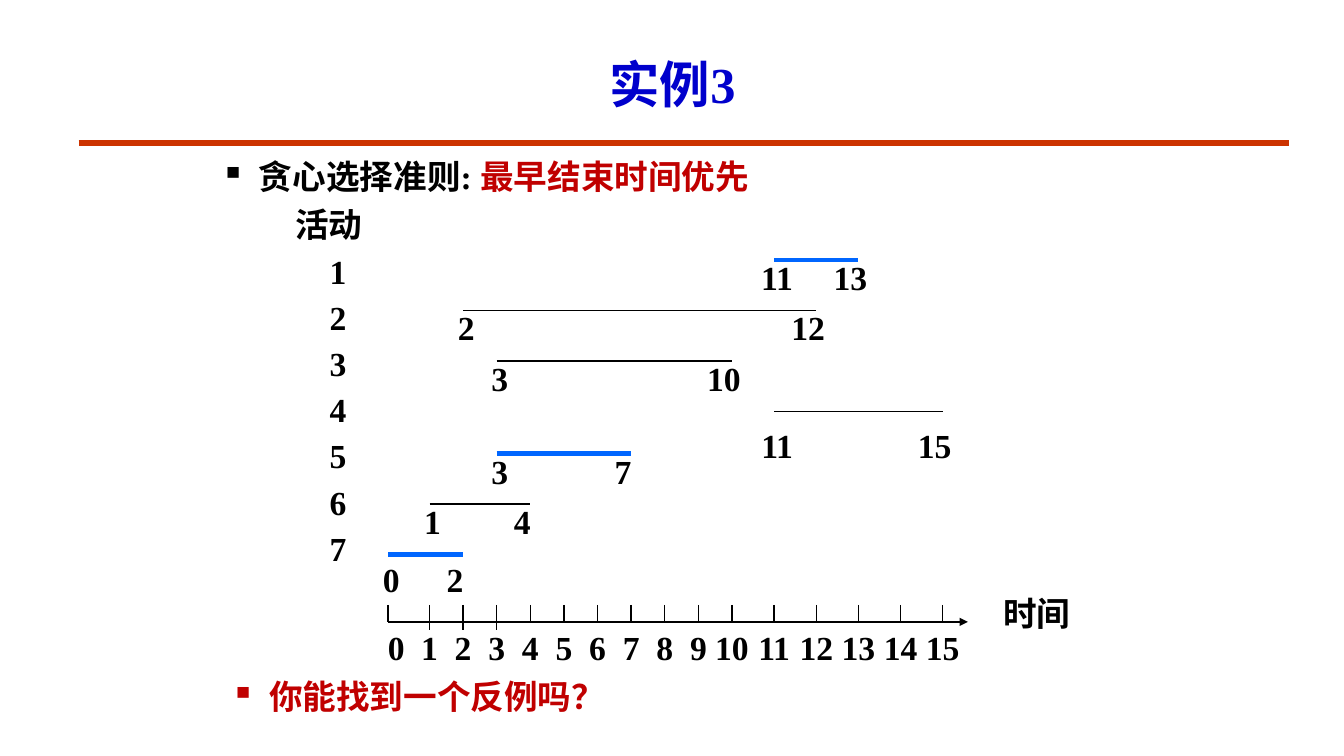
from lxml import etree
from pptx import Presentation
from pptx.dml.color import RGBColor
from pptx.enum.shapes import MSO_CONNECTOR
from pptx.enum.text import MSO_ANCHOR, PP_ALIGN
from pptx.oxml.ns import qn
from pptx.util import Inches, Pt

STRAIGHT = MSO_CONNECTOR.STRAIGHT
TOP, MIDDLE = MSO_ANCHOR.TOP, MSO_ANCHOR.MIDDLE
LEFT, CENTER = PP_ALIGN.LEFT, PP_ALIGN.CENTER

BLACK, RED, BLUE = "000000", "C00000", "0066FF"
AXIS_Y = 6.17
LAST_TIME = 15
LABEL_MARGIN = 0.3

# start, end, line height, label box top, chosen by the greedy rule
ACTIVITIES = [
    (11, 13, 2.58, 2.5, True),
    (2, 12, 3.08, 3, False),
    (3, 10, 3.58, 3.5, False),
    (11, 15, 4.08, 4.17, False),
    (3, 7, 4.5, 4.42, True),
    (1, 4, 5, 4.92, False),
    (0, 2, 5.5, 5.5, True),
]


def color(hex_string):
    return RGBColor.from_string(hex_string)


def time_x(time):
    """Horizontal place of a time; two-digit times stand further apart."""
    if time == 0:
        return 3.85
    if time <= 10:
        return 4.26 + (time - 1) / 3
    return 7.26 + (time - 10) * 0.418


class SlideBuilder:
    font = "Times New Roman"
    size = 24

    def __init__(self, page):
        self.page = page

    def line(self, x1, y1, x2, y2, line_color=BLACK, width=1, arrow=False):
        connector = self.page.shapes.add_connector(
            STRAIGHT, Inches(x1), Inches(y1), Inches(x2), Inches(y2))
        connector.line.color.rgb = color(line_color)
        connector.line.width = Pt(width)
        if arrow:
            outline = connector.line._get_or_add_ln()
            etree.SubElement(outline, qn("a:tailEnd"), type="triangle")
        properties = connector._element.spPr
        etree.SubElement(properties, qn("a:effectLst"))

    def box(self, left, top, width, height, anchor=TOP):
        frame = self.page.shapes.add_textbox(
            Inches(left), Inches(top), Inches(width), Inches(height)).text_frame
        frame.word_wrap = True
        frame.vertical_anchor = anchor
        return frame

    def style(self, para, text_color=BLACK, size=size, align=LEFT):
        para.alignment = align
        para.font.name = self.font
        para.font.size = Pt(size)
        para.font.bold = True
        para.font.color.rgb = color(text_color)

    def text(self, text, left, top, width, height, anchor=TOP, **style):
        para = self.box(left, top, width, height, anchor).paragraphs[0]
        para.text = text
        self.style(para, **style)

    def bullet(self, spans, left, top):
        """Bulleted line made of (text, colour) spans."""
        para = self.box(left, top, 8.98, 0.54).paragraphs[0]
        properties = para._p.get_or_add_pPr()
        properties.set("marL", str(Inches(0.38)))
        properties.set("indent", str(-Inches(0.38)))
        etree.SubElement(properties, qn("a:buChar"), char="▪")
        self.style(para, spans[0][1])
        for text, text_color in spans:
            span = para.add_run()
            span.text = text
            span.font.color.rgb = color(text_color)

    def numbers(self, places, top):
        """One row of (number, centre) pairs on centred tab stops."""
        left = places[0][1] - LABEL_MARGIN
        width = places[-1][1] - left + LABEL_MARGIN
        frame = self.box(left, top, width, 0.5)
        frame.margin_left = frame.margin_right = 0
        para = frame.paragraphs[0]
        stops = etree.SubElement(para._p.get_or_add_pPr(), qn("a:tabLst"))
        for _, center in places:
            etree.SubElement(stops, qn("a:tab"),
                             pos=str(Inches(center - left)), algn="ctr")
        para.text = "".join(f"\t{number}" for number, _ in places)
        self.style(para)

    def activity_column(self, heading, count):
        frame = self.box(2.6, 1.92, 1.13, 3.8)
        for index in range(count + 1):
            para = frame.paragraphs[0] if index == 0 else frame.add_paragraph()
            indent = 0.57 if index else 0.23
            para._p.get_or_add_pPr().set("marL", str(Inches(indent)))
            para.text = str(index) if index else heading
            para.line_spacing = Pt(33)
            self.style(para)


def main():
    deck = Presentation()
    deck.slide_width, deck.slide_height = Inches(13.33), Inches(7.5)
    slide = SlideBuilder(deck.slides.add_slide(deck.slide_layouts[6]))

    slide.line(0.78, 1.42, 12.78, 1.42, "CC3300", 4.5)
    slide.text("实例3", 2.42, 0.33, 8.5, 1, MIDDLE,
               text_color="0000CC", size=36, align=CENTER)
    slide.bullet([("贪心选择准则: ", BLACK), ("最早结束时间优先", RED)], 2.09, 1.5)
    slide.activity_column("活动", len(ACTIVITIES))

    for start, end, y, label_top, chosen in ACTIVITIES:
        slide.line(time_x(start), y, time_x(end), y,
                   BLUE if chosen else BLACK, 3 if chosen else 1)
        slide.numbers([(start, time_x(start) + 0.03),
                       (end, time_x(end) - 0.08)], label_top)

    slide.line(time_x(0), AXIS_Y, 9.6, AXIS_Y, arrow=True)
    times = range(LAST_TIME + 1)
    for time in times:
        bottom = 6.25 if time in (1, 2, 3) else AXIS_Y
        slide.line(time_x(time), 6, time_x(time), bottom)
    slide.numbers([(time, time_x(time) + (0 if time else 0.08))
                   for time in times], AXIS_Y)
    slide.text("时间", 9.85, 5.83, 0.95, 0.5)
    slide.bullet([("你能找到一个反例吗？", RED)], 2.19, 6.66)

    deck.save("out.pptx")


if __name__ == "__main__":
    main()
